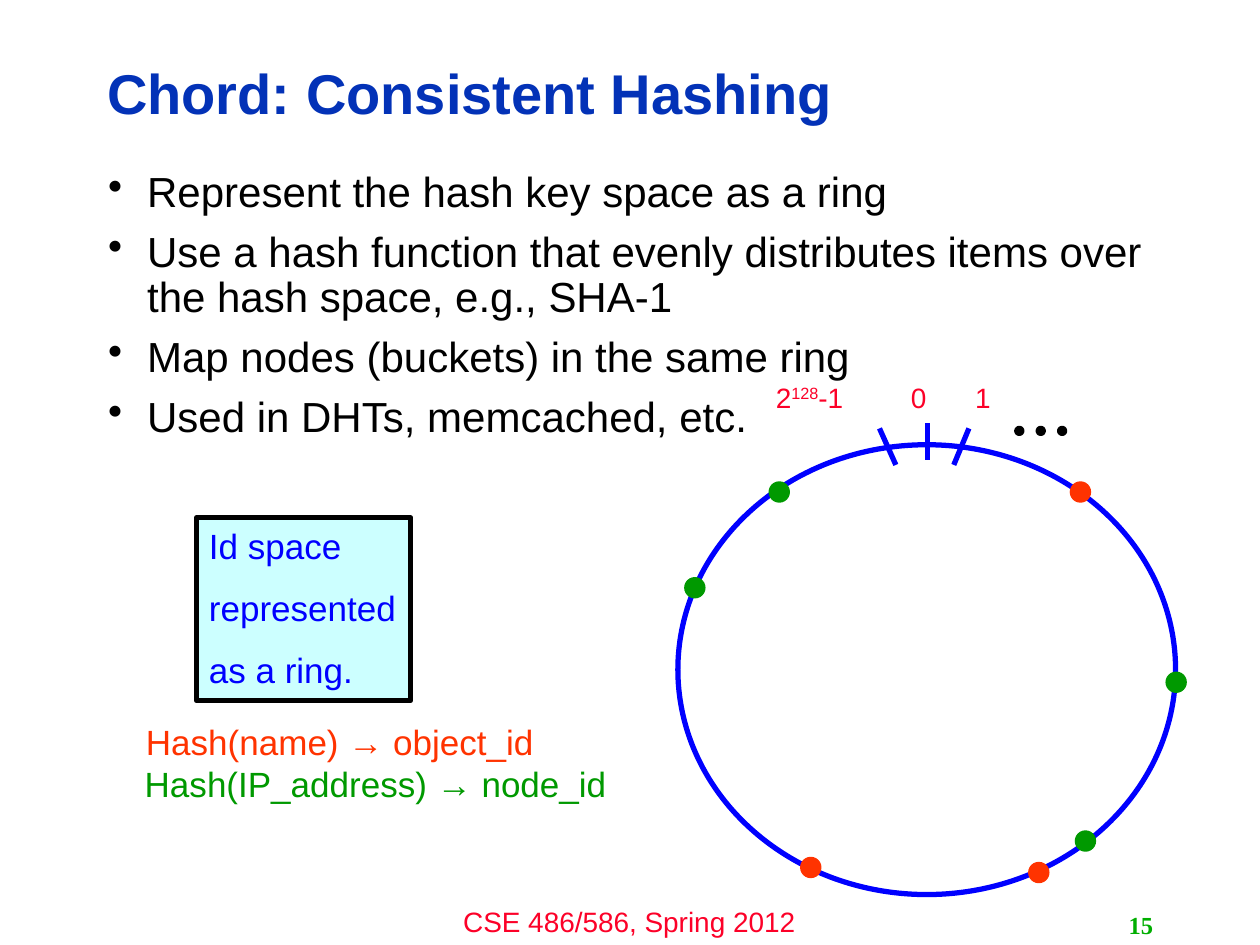
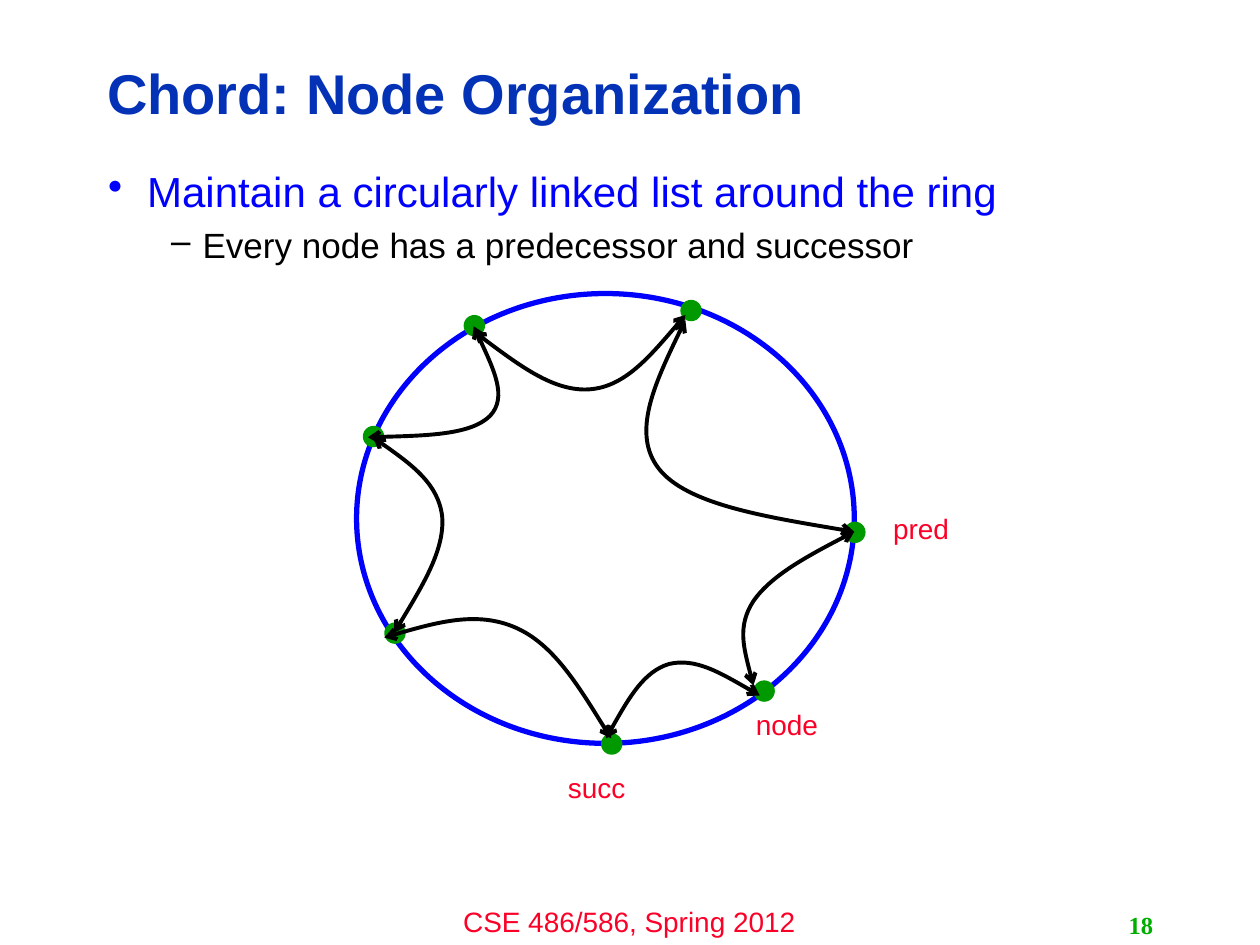
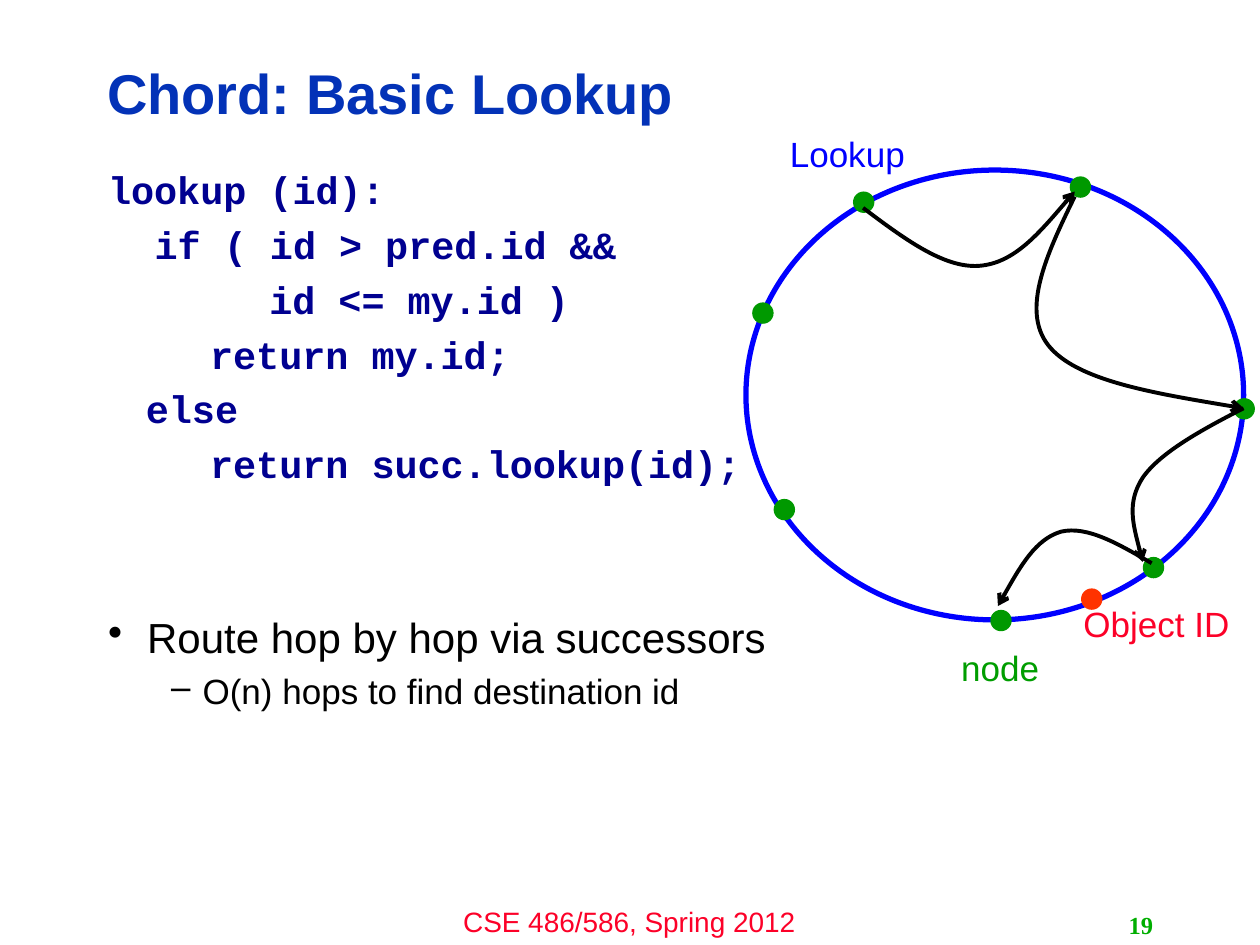
from lxml.etree import SubElement
from pptx import Presentation
from pptx.dml.color import RGBColor
from pptx.enum.shapes import MSO_CONNECTOR, MSO_SHAPE
from pptx.enum.text import MSO_ANCHOR, MSO_AUTO_SIZE, PP_ALIGN
from pptx.oxml.ns import qn
from pptx.util import Emu, Pt

EMU_PER_PX = 9144
TITLE_ONLY = 5
LINE_HEIGHT = 1.15

BLACK = RGBColor(0x00, 0x00, 0x00)
TITLE_BLUE = RGBColor(0x03, 0x32, 0xB7)
BLUE = RGBColor(0x00, 0x00, 0xFF)
CODE_NAVY = RGBColor(0x00, 0x00, 0x90)
RED = RGBColor(0xFC, 0x01, 0x28)
OBJECT_ORANGE = RGBColor(0xFF, 0x33, 0x00)
NODE_GREEN = RGBColor(0x00, 0x99, 0x00)
LABEL_GREEN = RGBColor(0x00, 0x9D, 0x00)
NUMBER_GREEN = RGBColor(0x00, 0xAE, 0x00)
PALE_CYAN = RGBColor(0xCC, 0xFF, 0xFF)

RING_SIZE = (395, 357)
NODE_SIZE = 17
NODES = [(387, 181), (5, 105), (315, 307), (85, 17), (22, 261), (194, 349), (257, 5)]
NODE_TO_PRED = [(315, 311), (309, 288), (302, 264), (315, 244),
                (329, 224), (362, 206), (395, 189)]
PRED_TO_TOP_RIGHT = [(395, 189), (329, 178), (262, 167), (240, 139),
                     (218, 111), (239, 66), (261, 21)]
TOP_RIGHT_TO_TOP_LEFT = [(261, 17), (237, 45), (213, 74), (185, 76),
                         (157, 78), (125, 54), (93, 30)]
TOP_LEFT_TO_LEFT = [(93, 26), (106, 54), (120, 82), (106, 97),
                    (91, 112), (50, 113), (9, 114)]
LEFT_TO_LOWER_LEFT = [(13, 114), (39, 132), (65, 151), (68, 177),
                      (70, 203), (50, 236), (30, 269)]
LOWER_LEFT_TO_SUCC = [(22, 273), (59, 262), (96, 252), (126, 265),
                      (156, 278), (179, 316), (202, 353)]
SUCC_TO_NODE = [(198, 353), (213, 326), (228, 300), (248, 294),
                (269, 289), (294, 304), (320, 319)]
LOOKUP_HOPS = [NODE_TO_PRED, PRED_TO_TOP_RIGHT, TOP_RIGHT_TO_TOP_LEFT]
ALL_LINKS = LOOKUP_HOPS + [TOP_LEFT_TO_LEFT, LEFT_TO_LOWER_LEFT,
                           LOWER_LEFT_TO_SUCC, SUCC_TO_NODE]


def px(*lengths):
    return [Emu(length * EMU_PER_PX) for length in lengths]


class Deck:
    def __init__(self):
        self.presentation = Presentation()
        self.presentation.slide_width, self.presentation.slide_height = px(1000, 750)
        self.shapes = None

    def new_slide(self, title, number):
        layout = self.presentation.slide_layouts[TITLE_ONLY]
        self.shapes = self.presentation.slides.add_slide(layout).shapes
        heading = self.shapes.title
        heading.left, heading.top, heading.width, heading.height = px(75, 36, 798, 81)
        heading.text_frame.vertical_anchor = MSO_ANCHOR.MIDDLE
        heading.text_frame.auto_size = MSO_AUTO_SIZE.NONE
        heading.text_frame.text = title
        paragraph = heading.text_frame.paragraphs[0]
        paragraph.alignment = PP_ALIGN.LEFT
        paragraph.line_spacing = 0.9
        self.font(paragraph, 32, TITLE_BLUE, bold=True)
        footer = self.label((333, 713, 333, 37), "CSE 486/586, Spring 2012")
        footer.word_wrap = True
        footer.paragraphs[0].alignment = PP_ALIGN.CENTER
        page = self.label((717, 718, 208, 32), str(number))
        page.word_wrap = True
        page.auto_size = MSO_AUTO_SIZE.NONE
        page.vertical_anchor = MSO_ANCHOR.MIDDLE
        page.paragraphs[0].alignment = PP_ALIGN.RIGHT
        self.font(page.paragraphs[0], 14, NUMBER_GREEN, "Times New Roman", True)

    def font(self, paragraph, size, color, name="Arial", bold=False):
        font = paragraph.font
        font.size, font.name, font.bold = Pt(size), name, bold
        font.color.rgb = color

    def label(self, box, text, size=16, color=RED):
        return self.caption(self.shapes.add_textbox(*px(*box)), text, size, color)

    def caption(self, holder, text, size, color):
        frame = holder.text_frame
        frame.text = text
        frame.word_wrap = False
        frame.auto_size = MSO_AUTO_SIZE.SHAPE_TO_FIT_TEXT
        frame.vertical_anchor = MSO_ANCHOR.TOP
        for index, paragraph in enumerate(frame.paragraphs):
            paragraph.alignment = PP_ALIGN.LEFT
            if index:
                paragraph.space_before = Pt(round(0.5 * LINE_HEIGHT * size, 1))
            self.font(paragraph, size, color)
        return frame

    def body(self):
        frame = self.shapes.add_textbox(*px(76, 131, 840, 539)).text_frame
        frame.word_wrap = True
        return frame

    def line(self, frame, text, size, color, left, hanging=0, mark=None,
             name="Arial", bold=False, gap=0):
        first = not frame.paragraphs[0].text
        paragraph = frame.paragraphs[0] if first else frame.add_paragraph()
        paragraph.text = text
        properties = paragraph._p.get_or_add_pPr()
        margin, indent = px(left, -hanging)
        properties.set("marL", str(margin))
        properties.set("indent", str(indent))
        if mark:
            SubElement(properties, qn("a:buChar"), char=mark)
        paragraph.line_spacing = 0.9
        if not first:
            paragraph.space_before = Pt(round(0.3 * LINE_HEIGHT * size + gap, 1))
        self.font(paragraph, size, color, name, bold)

    def bullet(self, frame, text, color=BLACK, gap=0):
        self.line(frame, text, 24, color, 31, 31, "•", gap=gap)

    def sub_bullet(self, frame, text):
        self.line(frame, text, 20, BLACK, 75, 25, "–")

    def code(self, frame, text, left):
        self.line(frame, text, 22, CODE_NAVY, left, name="Courier New", bold=True)

    def shape(self, kind, box, fill=None, outline=None):
        shape = self.shapes.add_shape(kind, *px(*box))
        self.paint(shape, fill, outline, 3)
        return shape

    def paint(self, shape, fill, outline, width):
        shape.shadow.inherit = False
        if fill is None:
            shape.fill.background()
        else:
            shape.fill.solid()
            shape.fill.fore_color.rgb = fill
        if outline is None:
            shape.line.fill.background()
        else:
            shape.line.color.rgb = outline
            shape.line.width = Pt(width)

    def ring(self, left, top):
        self.shape(MSO_SHAPE.OVAL, (left, top, *RING_SIZE), outline=BLUE)

    def dots(self, left, top, places, color=NODE_GREEN):
        for x, y in places:
            box = (left + x, top + y, NODE_SIZE, NODE_SIZE)
            self.shape(MSO_SHAPE.OVAL, box, fill=color)

    def tick(self, start, end):
        tick = self.shapes.add_connector(MSO_CONNECTOR.STRAIGHT, *px(*start, *end))
        tick.line.color.rgb = BLUE
        tick.line.width = Pt(3)
        SubElement(tick._element.spPr, qn("a:effectLst"))

    def curve(self, left, top, points, ends=("headEnd",)):
        start, *controls = [(left + x, top + y) for x, y in points]
        builder = self.shapes.build_freeform(*start, scale=EMU_PER_PX)
        builder.add_line_segments(controls, close=False)
        curve = builder.convert_to_shape()
        outline = next(curve._element.iter(qn("a:path")))
        segments = outline.findall(qn("a:lnTo"))
        for index in range(0, len(segments), 3):
            bezier = SubElement(outline, qn("a:cubicBezTo"))
            for segment in segments[index:index + 3]:
                bezier.append(segment[0])
                outline.remove(segment)
        self.paint(curve, None, BLACK, 2.25)
        for end in ends:
            SubElement(curve.line._get_or_add_ln(), qn(f"a:{end}"), type="arrow")


def consistent_hashing(deck):
    deck.new_slide("Chord: Consistent Hashing", 15)
    body = deck.body()
    for text in (
        "Represent the hash key space as a ring",
        "Use a hash function that evenly distributes items over the hash space, e.g., SHA-1",
        "Map nodes (buckets) in the same ring",
        "Used in DHTs, memcached, etc.",
    ):
        deck.bullet(body, text)
    ring = (538, 353)
    deck.ring(*ring)
    for start, end in (((698, 340), (711, 369)), ((736, 336), (736, 365)),
                       ((769, 340), (757, 369))):
        deck.tick(start, end)
    deck.label((713, 297, 39, 50), "0")
    deck.label((764, 297, 39, 50), "1")
    last_id = deck.label((606, 297, 105, 50), "2").paragraphs[0]
    exponent = last_id.add_run()
    exponent.text = "128"
    exponent._r.get_or_add_rPr().set("baseline", "30000")
    last_id.add_run().text = "-1"
    for step in range(3):
        deck.shape(MSO_SHAPE.OVAL, (807 + 17 * step, 340, 4, 4), outline=BLACK)
    id_space = deck.shape(MSO_SHAPE.RECTANGLE, (156, 411, 170, 145), PALE_CYAN, BLACK)
    deck.caption(id_space, "Id space\nrepresented\nas a ring.", 20, BLUE)
    deck.dots(*ring, [(311, 29), (278, 331), (97, 327)], OBJECT_ORANGE)
    deck.dots(*ring, [(387, 180), (5, 105), (315, 306), (72, 29)])
    deck.label((106, 567, 330, 44), "Hash(name) → object_id", 20, OBJECT_ORANGE)
    deck.label((105, 600, 389, 44), "Hash(IP_address) → node_id", 20, NODE_GREEN)


def node_organization(deck):
    deck.new_slide("Chord: Node Organization", 18)
    body = deck.body()
    deck.bullet(body, "Maintain a circularly linked list around the ring", BLUE)
    deck.sub_bullet(body, "Every node has a predecessor and successor")
    ring = (283, 233)
    deck.ring(*ring)
    deck.dots(*ring, NODES)
    for link in ALL_LINKS:
        deck.curve(*ring, link, ("headEnd", "tailEnd"))
    deck.label((590, 557, 100, 50), "node")
    deck.label((699, 401, 92, 50), "pred")
    deck.label((441, 607, 96, 50), "succ")


def basic_lookup(deck):
    deck.new_slide("Chord: Basic Lookup", 19)
    body = deck.body()
    for text, left in (
        ("lookup (id):", 0),
        ("if ( id > pred.id &&", 37),
        ("id <= my.id )", 128),
        ("return my.id;", 81),
        ("else", 30),
        ("return succ.lookup(id);", 81),
    ):
        deck.code(body, text, left)
    deck.bullet(body, "Route hop by hop via successors", gap=66)
    deck.sub_bullet(body, "O(n) hops to find destination id")
    left, top = ring = (592, 135)
    deck.ring(*ring)
    deck.dots(*ring, NODES)
    for hop in LOOKUP_HOPS:
        deck.curve(*ring, hop)
    deck.curve(left + 2, top - 7, SUCC_TO_NODE)
    deck.label((753, 508, 83, 44), "node", 20, LABEL_GREEN)
    deck.label((617, 100, 112, 44), "Lookup", 20, BLUE)
    deck.dots(*ring, [(266, 332)], OBJECT_ORANGE)
    deck.label((850, 473, 137, 44), "Object ID", 20)


def main():
    deck = Deck()
    consistent_hashing(deck)
    node_organization(deck)
    basic_lookup(deck)
    deck.presentation.save("out.pptx")


if __name__ == "__main__":
    main()
